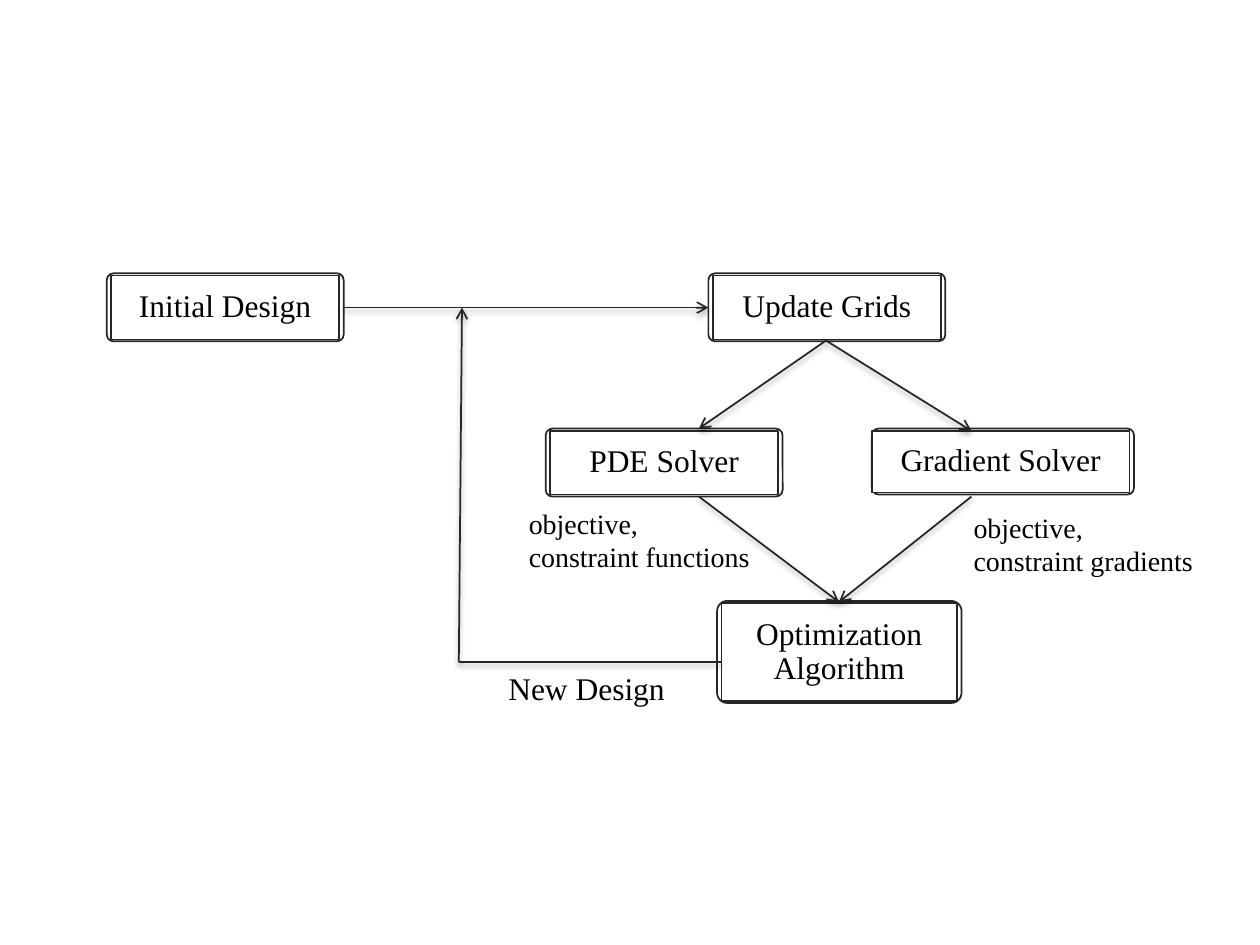
from dataclasses import dataclass

from lxml import etree
from pptx import Presentation
from pptx.dml.color import RGBColor
from pptx.enum.shapes import MSO_CONNECTOR, MSO_SHAPE
from pptx.enum.text import MSO_ANCHOR, MSO_AUTO_SIZE, PP_ALIGN
from pptx.oxml.ns import qn
from pptx.util import Pt

STRAIGHT = MSO_CONNECTOR.STRAIGHT
RECTANGLE = MSO_SHAPE.RECTANGLE
ROUNDED = MSO_SHAPE.ROUNDED_RECTANGLE
MIDDLE = MSO_ANCHOR.MIDDLE
FIT_TEXT = MSO_AUTO_SIZE.SHAPE_TO_FIT_TEXT
LEFT = PP_ALIGN.LEFT
CENTER = PP_ALIGN.CENTER

WHITE = RGBColor(0xFF, 0xFF, 0xFF)
BLACK = RGBColor(0, 0, 0)
DARK_GRAY = RGBColor(0x26, 0x26, 0x26)
FONT = "Times New Roman"
BOX_PADDING = 7.2


@dataclass
class Box:
    text: str
    left: float
    top: float
    width: float = 135.4
    height: float = 38.9
    left_inset: float = 2.5


@dataclass
class Link:
    start: tuple[float, float]
    end: tuple[float, float]
    arrow: bool = True


@dataclass
class Label:
    lines: list[str]
    left: float
    top: float
    width: float
    height: float
    size: float = 16
    wrap: bool = True


def add_text(paragraph, text: str, size: float, alignment) -> None:
    paragraph.alignment = alignment
    run = paragraph.add_run()
    run.text = text
    run.font.name = FONT
    run.font.size = Pt(size)
    run.font.color.rgb = BLACK


def add_frame(slide, kind, left: float, top: float, width: float, height: float):
    shape = slide.shapes.add_shape(kind, Pt(left), Pt(top), Pt(width), Pt(height))
    shape.shadow.inherit = False
    shape.fill.solid()
    shape.fill.fore_color.rgb = WHITE
    shape.line.color.rgb = DARK_GRAY
    shape.line.width = Pt(1)
    return shape


def add_box(slide, box: Box) -> None:
    outer = add_frame(slide, ROUNDED, box.left, box.top, box.width, box.height)
    outer.adjustments[0] = 0.1
    inner = add_frame(slide, RECTANGLE, box.left + box.left_inset, box.top + 1.3,
                      box.width - box.left_inset - 2.6, box.height - 2.4)
    frame = inner.text_frame
    frame.word_wrap = True
    frame.vertical_anchor = MIDDLE
    frame.margin_left = frame.margin_right = Pt(BOX_PADDING)
    frame.margin_top = frame.margin_bottom = Pt(BOX_PADDING)
    paragraph = frame.paragraphs[0]
    paragraph.line_spacing = 0.9
    add_text(paragraph, box.text, 18, CENTER)


def add_link(slide, link: Link) -> None:
    start, end = link.start, link.end
    connector = slide.shapes.add_connector(
        STRAIGHT, Pt(start[0]), Pt(start[1]), Pt(end[0]), Pt(end[1]))
    connector.line.color.rgb = DARK_GRAY
    connector.line.width = Pt(1)
    if link.arrow:
        etree.SubElement(connector.line._get_or_add_ln(), qn("a:tailEnd"), type="arrow")
    # Soft shadow straight below the line
    effects = etree.SubElement(connector._element.spPr, qn("a:effectLst"))
    shadow = etree.SubElement(effects, qn("a:outerShdw"), blurRad=str(Pt(3.1)),
                              dist=str(Pt(1.8)), dir="5400000", rotWithShape="0")
    color = etree.SubElement(shadow, qn("a:srgbClr"), val=str(BLACK))
    etree.SubElement(color, qn("a:alpha"), val="35000")


def add_label(slide, label: Label) -> None:
    shape = slide.shapes.add_textbox(Pt(label.left), Pt(label.top),
                                     Pt(label.width), Pt(label.height))
    frame = shape.text_frame
    frame.word_wrap = label.wrap
    frame.auto_size = FIT_TEXT
    for index, line in enumerate(label.lines):
        paragraph = frame.add_paragraph() if index else frame.paragraphs[0]
        add_text(paragraph, line, label.size, LEFT)


# Rows and joints of the flow
FIRST_ROW, SOLVER_ROW, OPTIMIZER_ROW = 156.2, 244.9, 343.4
MAIN_LINE, RETURN_LINE = 175.8, 378.4
GRIDS_BOTTOM = (472, 194.6)
OPTIMIZER_TOP = (479.4, 344)
PDE_X, GRADIENT_X = 399.4, 555.1
SOLVER_BOTTOM = 283.8
RETURN_CORNER = (262.2, RETURN_LINE)

BOXES = [
    Box("Initial Design", 61, FIRST_ROW),
    Box("Update Grids", 404.8, FIRST_ROW),
    Box("PDE Solver", 311.8, SOLVER_ROW),
    Box("Gradient Solver", 498.2, SOLVER_ROW, 149.8, 37.7, left_inset=0),
    Box("Optimization Algorithm", 409.8, OPTIMIZER_ROW, 139.7, 58.3),
]
LINKS = [
    Link((196, MAIN_LINE), (404.8, MAIN_LINE)),
    Link(GRIDS_BOTTOM, (PDE_X, SOLVER_ROW)),
    Link(GRIDS_BOTTOM, (GRADIENT_X, 246.2)),
    Link((412.4, RETURN_LINE), RETURN_CORNER, arrow=False),
    Link((PDE_X, SOLVER_BOTTOM), OPTIMIZER_TOP),
    Link((GRADIENT_X, SOLVER_BOTTOM), OPTIMIZER_TOP),
    Link(RETURN_CORNER, (264, MAIN_LINE)),
]
LABELS = [
    Label(["New Design"], 283.4, 378.7, 105.8, 28.8, size=18, wrap=False),
    Label(["objective,", "constraint functions"], 295.1, 285.8, 149, 46),
    Label(["objective,", "constraint gradients"], 549.2, 288, 150.5, 46),
]

presentation = Presentation()
presentation.slide_width, presentation.slide_height = Pt(720), Pt(540)
slide = presentation.slides.add_slide(presentation.slide_layouts[6])

# Boxes first, then the arrows over their edges, then the labels
for box in BOXES:
    add_box(slide, box)
for link in LINKS:
    add_link(slide, link)
for label in LABELS:
    add_label(slide, label)

presentation.save("out.pptx")
